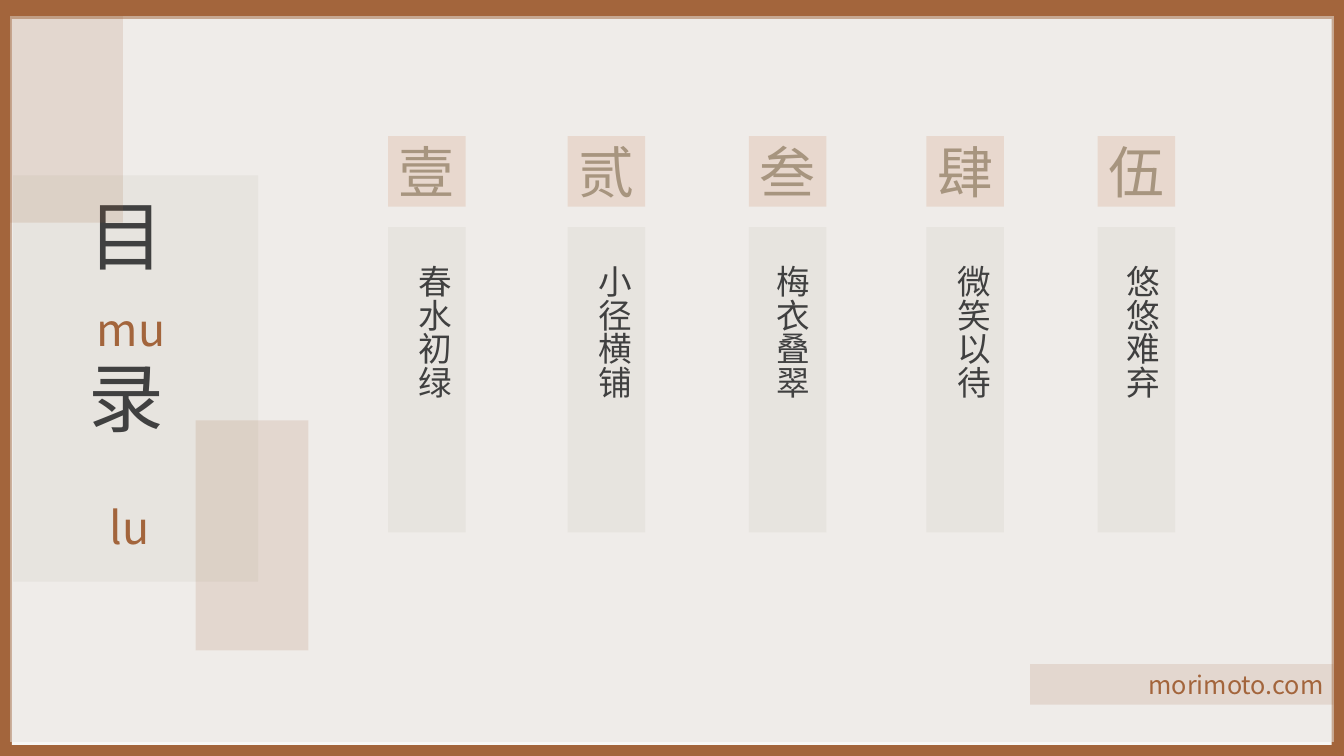
import pptx
import pptx.util
import pptx.dml.color
import pptx.enum.shapes
import pptx.enum.text
import pptx.oxml.ns
import lxml.etree

Pt = pptx.util.Pt
RGBColor = pptx.dml.color.RGBColor
Align = pptx.enum.text.PP_ALIGN
Anchor = pptx.enum.text.MSO_ANCHOR
qn = pptx.oxml.ns.qn

FONT = "Noto Sans CJK SC"
BACKGROUND = RGBColor(0xFB, 0xFB, 0xFB)
BROWN = RGBColor(0xA3, 0x65, 0x3C)
PAPER = RGBColor(0xF8, 0xF7, 0xF5)
STONE = RGBColor(0xE7, 0xE4, 0xDF)
PEACH = RGBColor(0xDA, 0xB2, 0x9A)
TAUPE = RGBColor(0xA7, 0x95, 0x7F)
INK = RGBColor(0x40, 0x40, 0x40)

CHAPTERS = [
    (277.2, 7.9, "壹", "春水初绿"),
    (405.4, 7.9, "贰", "小径横铺"),
    (535, 5.9, "叁", "梅衣叠翠"),
    (661.7, 7.9, "肆", "微笑以待"),
    (784.1, 6.5, "伍", "悠悠难弃"),
]


def add_block(page, left, top, width, height, color, opacity=100):
    """Add a borderless rectangle with an opacity in percent."""
    block = page.shapes.add_shape(
        pptx.enum.shapes.MSO_SHAPE.RECTANGLE, Pt(left), Pt(top), Pt(width), Pt(height))
    block.shadow.inherit = False
    block.line.fill.background()
    block.fill.solid()
    block.fill.fore_color.rgb = color
    if opacity < 100:
        swatch = block.fill._xPr.find(qn("a:solidFill"))[0]
        lxml.etree.SubElement(swatch, qn("a:alpha"), val=str(opacity * 1000))
    return block


def write(para, text, size, color, align=Align.LEFT):
    """Fill a paragraph with text in the deck's typeface."""
    para.text = text
    para.alignment = align
    para.font.size = Pt(size)
    para.font.color.rgb = color
    para.font.name = FONT
    for span in para.runs:
        properties = span._r.get_or_add_rPr()
        lxml.etree.SubElement(properties, qn("a:ea"), typeface=FONT)


def add_label(page, left, top, width, height):
    """Add an empty wrapping text box and return its text frame."""
    box = page.shapes.add_textbox(Pt(left), Pt(top), Pt(width), Pt(height))
    box.text_frame.word_wrap = True
    return box.text_frame


def draw_frame(page, width, height):
    """Draw the brown border and the paper inside it."""
    add_block(page, 0, 0, width, height, BROWN)
    add_block(page, 8.6, 13.7, width - 17.3, height - 21.6, PAPER)
    add_block(page, 7.2, 11.5, width - 14.4, height - 21.6, STONE, 53)


def draw_title(page, left, top):
    """Draw the title panel with its characters, readings and tinted squares."""
    add_block(page, left, top, 175, 290.2, STONE)
    frame = add_label(page, left + 46.8, top + 5.8, 107.3, 203.8)
    write(frame.paragraphs[0], "目", 54, INK)
    second = frame.add_paragraph()
    write(second, "录", 54, INK)
    second.space_before = Pt(51)
    for reading, across, down in (("mu", 52.6, 79.2), ("lu", 61.9, 220.3)):
        para = add_label(page, left + across, top + down, 107.3, 54).paragraphs[0]
        write(para, reading, 32, BROWN)
        para.line_spacing = 1.2
    add_block(page, left + 130.3, top + 175, 80.6, 164.2, BROWN, 15)
    add_block(page, left - 2.2, 0, 80.6, 159.1, BROWN, 15)


def draw_chapter(page, left, top, inset, numeral, name):
    """Draw one chapter: a numeral tile above a panel with a vertical name."""
    tile = add_block(page, left, top, 55.4, 50.4, PEACH, 33)
    frame = tile.text_frame
    frame.vertical_anchor = Anchor.MIDDLE
    write(frame.paragraphs[0], numeral, 40, TAUPE, Align.CENTER)
    add_block(page, left, top + 65, 55.4, 218.2, STONE)
    frame = add_label(page, left + inset, top + 85, 43.2, 172.1)
    frame._txBody.bodyPr.set("vert", "eaVert")
    write(frame.paragraphs[0], name, 24, INK, Align.JUSTIFY)


def draw_footer(page, left, top):
    """Draw the web address strip."""
    strip = add_block(page, left, top, 216.7, 28.8, BROWN, 15)
    strip.text_frame.vertical_anchor = Anchor.TOP
    write(strip.text_frame.paragraphs[0], "morimoto.com", 18, BROWN, Align.RIGHT)


def main():
    """Build and save the contents slide."""
    deck = pptx.Presentation()
    deck.slide_width, deck.slide_height = Pt(960), Pt(540)
    page = deck.slides.add_slide(deck.slide_layouts[6])
    page.background.fill.solid()
    page.background.fill.fore_color.rgb = BACKGROUND
    draw_frame(page, 960, 540)
    draw_title(page, 9.4, 125.3)
    for left, inset, numeral, name in CHAPTERS:
        draw_chapter(page, left, 97.2, inset, numeral, name)
    draw_footer(page, 735.8, 474.5)
    deck.save("out.pptx")


if __name__ == "__main__":
    main()
